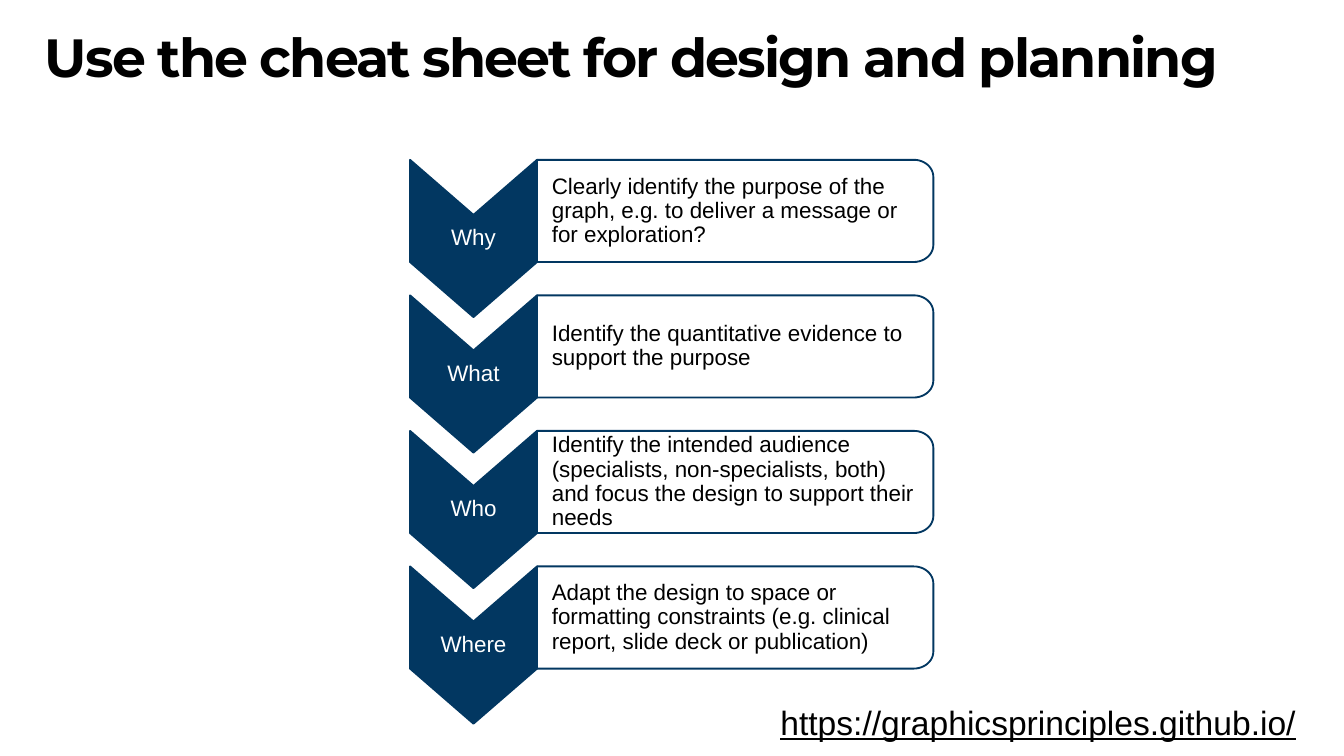
from math import cos, pi, sin

from pptx import Presentation
from pptx.dml.color import RGBColor
from pptx.enum.text import MSO_ANCHOR as ANCHOR, PP_ALIGN as ALIGN
from pptx.util import Cm, Pt

NAVY = RGBColor(0x02, 0x37, 0x61)
WHITE = RGBColor(0xFF, 0xFF, 0xFF)
BLACK = RGBColor(0x00, 0x00, 0x00)

prs = Presentation()
prs.slide_width, prs.slide_height = Cm(25.4), Cm(14.28)
s = prs.slides.add_slide(prs.slide_layouts[6])


def write(sp, text, size=12, font="Arial", color=BLACK, bold=None, underline=None,
          align=ALIGN.LEFT, anchor=ANCHOR.TOP, line=0.9, margins=(0, 0, 0, 0),
          wrap=True, tracking=None):
    tf = sp.text_frame
    tf.word_wrap = wrap
    tf.vertical_anchor = anchor
    tf.margin_left, tf.margin_top, tf.margin_right, tf.margin_bottom = map(Cm, margins)
    p = tf.paragraphs[0]
    p.alignment, p.line_spacing = align, line
    r = p.add_run()
    r.text = text
    f = r.font
    f.name, f.size, f.bold, f.underline = font, Pt(size), bold, underline
    f.color.rgb = color
    if tracking is not None:
        r._r.get_or_add_rPr().set("spc", str(tracking))


def outline(points, fill):
    pts = [(Cm(x), Cm(y)) for x, y in points]
    builder = s.shapes.build_freeform(*pts[0])
    builder.add_line_segments(pts[1:], close=True)
    sp = builder.convert_to_shape()
    sp.shadow.inherit = False
    sp.fill.solid()
    sp.fill.fore_color.rgb = fill
    sp.line.color.rgb = NAVY
    sp.line.width = Pt(1)
    return sp


# Title
sp = s.shapes.add_textbox(Cm(0.85), Cm(0.58), Cm(24.55), Cm(2))
write(sp, "Use the cheat sheet for design and planning", size=28.8,
      font="Montserrat", bold=True, tracking=-100)

# Chevron steps, each with a panel rounded on its right side
STEPS = [
    ("Why", "Clearly identify the purpose of the graph, e.g. to deliver a message or for exploration?"),
    ("What", "Identify the quantitative evidence to support the purpose"),
    ("Who", "Identify the intended audience (specialists, non-specialists, both) "
            "and focus the design to support their needs"),
    ("Where", "Adapt the design to space or formatting constraints "
              "(e.g. clinical report, slide deck or publication)"),
]
LEFT, MID, RIGHT = 7.75, 10.15, 17.64
TOP, PITCH, HEIGHT, POINT = 3.02, 2.56, 1.93, 1.04
RX, RY, ARC_STEPS = 0.37, 0.32, 12
tip = (LEFT + MID) / 2
angles = [pi / 2 * i / ARC_STEPS for i in range(ARC_STEPS + 1)]

for i, (label, advice) in enumerate(STEPS):
    top = TOP + i * PITCH
    bottom = top + HEIGHT

    sp = outline([(MID, top), (MID, bottom), (tip, bottom + POINT), (LEFT, bottom),
                  (LEFT, top), (tip, top + POINT)], NAVY)
    write(sp, label, color=WHITE, align=ALIGN.CENTER, anchor=ANCHOR.MIDDLE,
          margins=(0.02, 0.84, 0.02, 0.84))

    upper = [(RIGHT - RX + RX * sin(a), top + RY - RY * cos(a)) for a in angles]
    lower = [(x, top + bottom - y) for x, y in reversed(upper)]
    sp = outline([(MID, top), *upper, *lower, (MID, bottom)], WHITE)
    write(sp, advice, anchor=ANCHOR.MIDDLE, margins=(0.28, 0.08, 0.08, 0.08))

# Web address
sp = s.shapes.add_textbox(Cm(14.5), Cm(13.13), Cm(10.34), Cm(1.02))
write(sp, "https://graphicsprinciples.github.io/", size=18, underline=True, line=1.0,
      margins=(0.25, 0.13, 0.25, 0.13), wrap=False)

prs.save("out.pptx")
